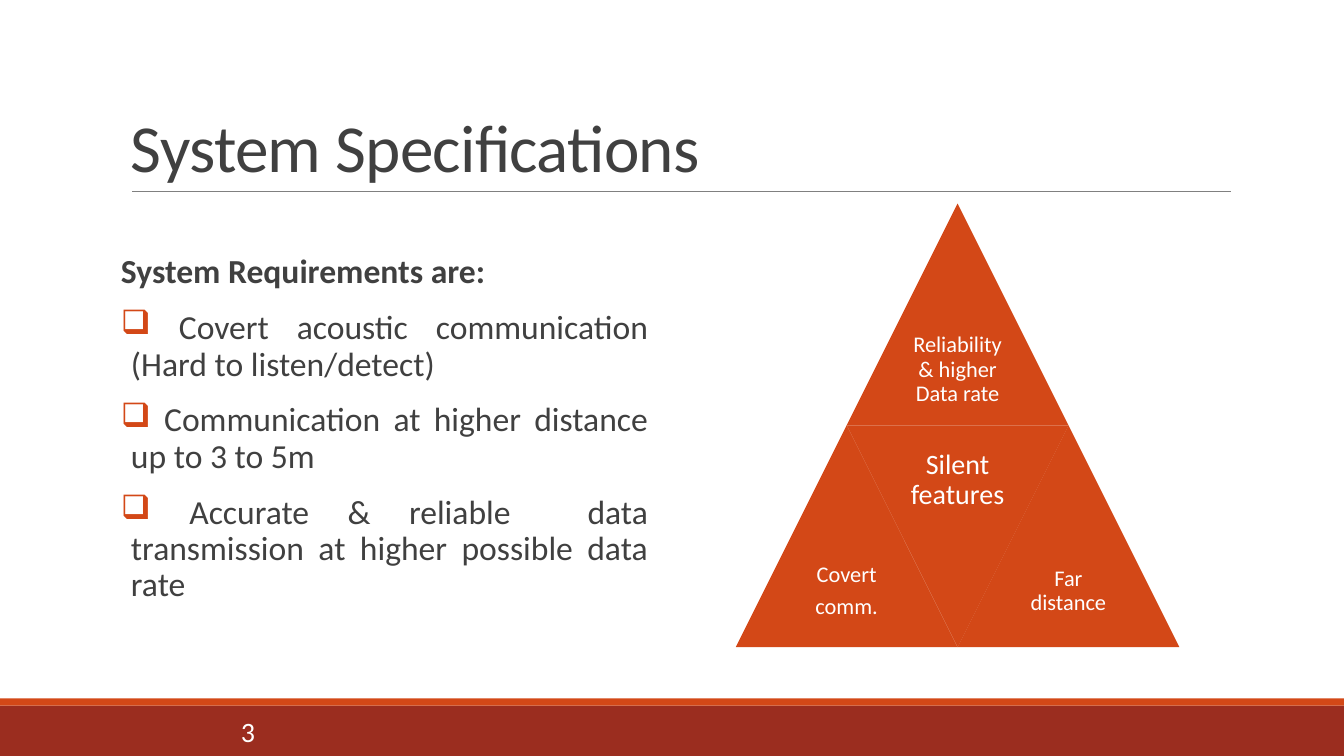
from dataclasses import dataclass

from lxml.etree import SubElement
from pptx import Presentation
from pptx.dml.color import RGBColor
from pptx.enum.shapes import MSO_CONNECTOR, MSO_SHAPE
from pptx.enum.text import MSO_ANCHOR, PP_ALIGN
from pptx.oxml.ns import qn
from pptx.util import Pt


@dataclass(frozen=True)
class Theme:
    """Colours, font and type sizes of the slide."""

    font: str = "Calibri"
    accent: str = "D34817"
    footer: str = "9B2D1F"
    ink: str = "404040"
    rule: str = "808080"
    light: str = "FFFFFF"
    title: int = 48
    body: int = 24
    feature: int = 20
    label: int = 16


THEME = Theme()
REQUIREMENTS = (
    " Covert acoustic communication (Hard to listen/detect)",
    " Communication at higher distance up to 3 to 5m",
    " Accurate & reliable  data transmission at higher possible data rate",
)
SIDE = 158.4
PYRAMID_LEFT, PYRAMID_TOP = 525.6, 145.44


def add_filled(page, kind, left, top, width, height, colour):
    """Add a flat preset shape without an outline."""
    shape = page.shapes.add_shape(kind, Pt(left), Pt(top), Pt(width), Pt(height))
    shape.shadow.inherit = False
    shape.fill.solid()
    shape.fill.fore_color.rgb = RGBColor.from_string(colour)
    shape.line.fill.background()
    return shape


def add_rule(page, left, right, top):
    """Add the thin line under the title."""
    rule = page.shapes.add_connector(MSO_CONNECTOR.STRAIGHT, Pt(left), Pt(top), Pt(right), Pt(top))
    rule.line.color.rgb = RGBColor.from_string(THEME.rule)
    rule.line.width = Pt(0.5)
    SubElement(rule._element.spPr, qn("a:effectLst"))


def add_box(page, left, top, width, height, anchor, insets=(7.2, 3.6)):
    """Add a wrapping text box and return its text frame."""
    box = page.shapes.add_textbox(Pt(left), Pt(top), Pt(width), Pt(height))
    frame = box.text_frame
    frame.word_wrap = True
    frame.vertical_anchor = anchor
    frame.margin_left = frame.margin_right = Pt(insets[0])
    frame.margin_top = frame.margin_bottom = Pt(insets[1])
    return frame


def add_para(frame, text, size, colour, align, spacing=0.9, before=0, after=0, bold=False):
    """Write one paragraph, using the empty first one when it is free."""
    first = frame.paragraphs[0]
    para = frame.add_paragraph() if first.runs else first
    para.alignment = align
    para.line_spacing = spacing
    para.space_before, para.space_after = Pt(before), Pt(after)
    span = para.add_run()
    span.text = text
    span.font.name = THEME.font
    span.font.size = Pt(size)
    span.font.bold = bold
    span.font.color.rgb = RGBColor.from_string(colour)
    return para


def add_bullet(para):
    """Give a paragraph a hanging box bullet in the accent colour."""
    props = para._p.get_or_add_pPr()
    props.set("marL", str(Pt(7.2)))
    props.set("indent", str(Pt(-7.2)))
    SubElement(SubElement(props, qn("a:buClr")), qn("a:srgbClr"), val=THEME.accent)
    SubElement(props, qn("a:buChar"), char="❑")


def add_title(page, text):
    """Add the title and the line below it."""
    frame = add_box(page, 86.4, 22.32, 792, 114.48, MSO_ANCHOR.BOTTOM)
    para = add_para(frame, text, THEME.title, THEME.ink, PP_ALIGN.LEFT, spacing=0.85)
    para.runs[0].font._element.set("spc", "-50")
    add_rule(page, 94.32, 879.12, 136.8)


def add_requirements(page):
    """Add the heading and the bulleted requirements."""
    frame = add_box(page, 86.4, 178.56, 376.56, 316.8, MSO_ANCHOR.TOP, insets=(0, 3.6))
    style = dict(size=THEME.body, colour=THEME.ink, align=PP_ALIGN.JUSTIFY, before=12, after=2)
    add_para(frame, "System Requirements are:", bold=True, **style)
    for requirement in REQUIREMENTS:
        add_bullet(add_para(frame, requirement, **style))


def add_triangle(page, column, row, lines, size, inverted=False):
    """Add a pyramid part; columns count in half sides, rows in sides."""
    left, top = PYRAMID_LEFT + column * SIDE / 2, PYRAMID_TOP + row * SIDE
    triangle = add_filled(page, MSO_SHAPE.ISOSCELES_TRIANGLE, left, top, SIDE, SIDE, THEME.accent)
    triangle.rotation = 180 if inverted else 0
    text_top = top if inverted else top + SIDE / 2
    inset = 0.3 * size
    frame = add_box(page, left + SIDE / 4, text_top, SIDE / 2, SIDE / 2, MSO_ANCHOR.MIDDLE, (inset, inset))
    for line in lines:
        add_para(frame, line, size, THEME.light, PP_ALIGN.CENTER, after=0.35 * size)


def add_pyramid(page):
    """Add the four triangles of the pyramid."""
    add_triangle(page, 1, 0, ["Reliability & higher Data rate"], THEME.label)
    add_triangle(page, 0, 1, ["Covert", "comm."], THEME.label)
    add_triangle(page, 1, 1, ["Silent features"], THEME.feature, inverted=True)
    add_triangle(page, 2, 1, ["Far distance"], THEME.label)


def add_footer(page, number):
    """Add the two footer bands and the page number."""
    add_filled(page, MSO_SHAPE.RECTANGLE, 0, 504, 960, 36, THEME.footer)
    add_filled(page, MSO_SHAPE.RECTANGLE, 0, 498.96, 960, 5.04, THEME.accent)
    frame = add_box(page, 86.4, 508.32, 102.96, 28.8, MSO_ANCHOR.MIDDLE)
    add_para(frame, number, THEME.feature, THEME.light, PP_ALIGN.RIGHT, spacing=1.0)


def main():
    """Build the slide and save it."""
    deck = Presentation()
    deck.slide_width, deck.slide_height = Pt(960), Pt(540)
    page = deck.slides.add_slide(deck.slide_layouts[6])
    add_footer(page, "3")
    add_title(page, "System Specifications")
    add_requirements(page)
    add_pyramid(page)
    deck.save("out.pptx")


if __name__ == "__main__":
    main()
